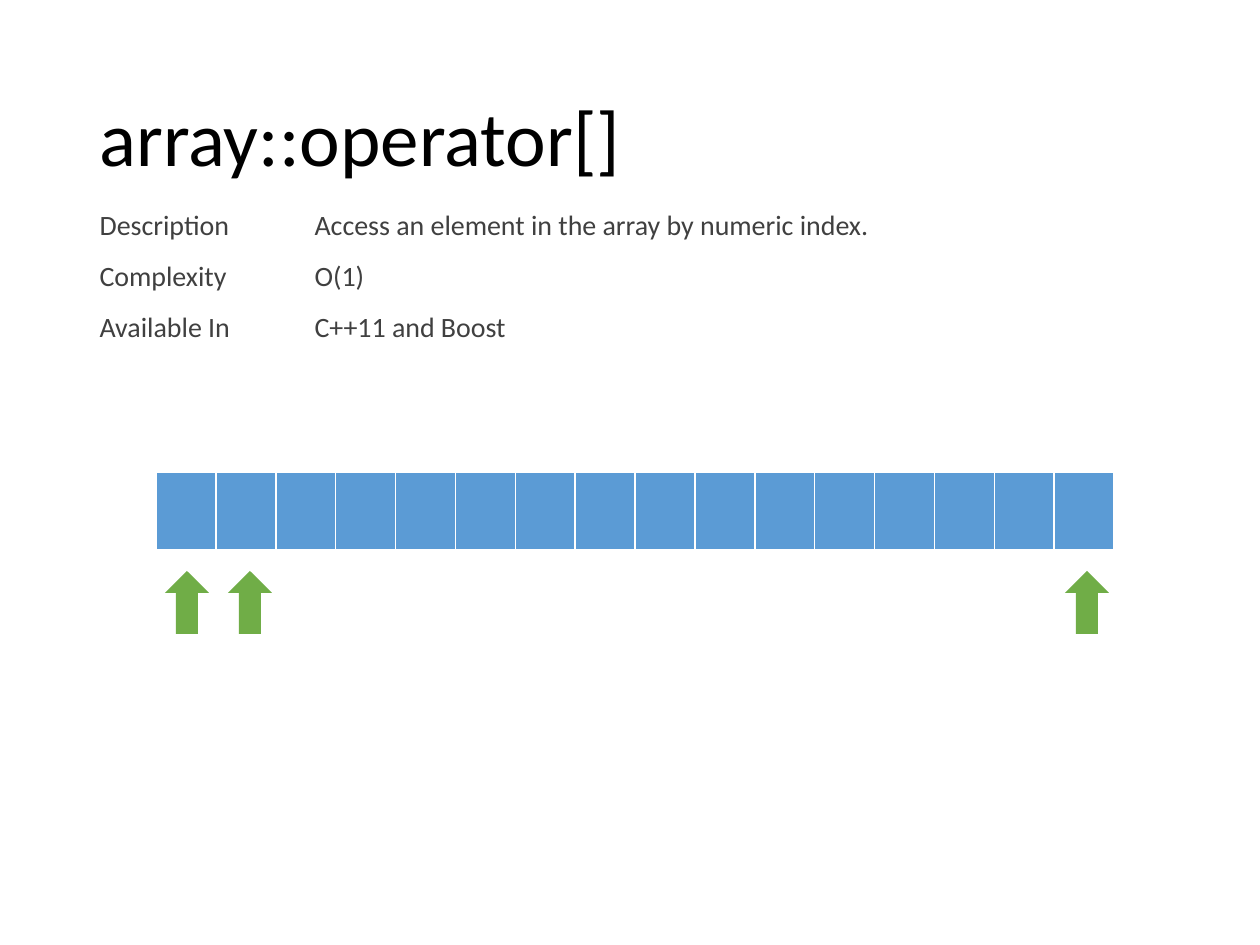
from dataclasses import dataclass

from lxml.etree import SubElement
from pptx import Presentation
from pptx.dml.color import RGBColor
from pptx.enum.shapes import MSO_SHAPE
from pptx.enum.text import MSO_ANCHOR
from pptx.oxml.ns import qn
from pptx.util import Emu, Pt


@dataclass(frozen=True)
class Theme:
    font: str = "Calibri"
    title_color: str = "000000"
    text_color: str = "404040"
    cell_color: str = "5B9BD5"
    arrow_color: str = "70AD47"
    border_color: str = "FFFFFF"
    title_size: int = 44
    text_size: int = 16


theme = Theme()


def px(length):
    return Emu(round(length * 914400 / 126))


def add_span(paragraph, text, size, color):
    span = paragraph.add_run()
    span.text = text
    span.font.name = theme.font
    span.font.size = Pt(size)
    span.font.color.rgb = RGBColor.from_string(color)


deck = Presentation()
deck.slide_width = px(1260)
deck.slide_height = px(945)
page = deck.slides.add_slide(deck.slide_layouts[6])

title_box = page.shapes.add_textbox(px(87), px(50), px(1086), px(183))
title_box.text_frame.word_wrap = True
title_box.text_frame.vertical_anchor = MSO_ANCHOR.MIDDLE
title = title_box.text_frame.paragraphs[0]
title.line_spacing = 0.9
add_span(title, "array::operator[]", theme.title_size, theme.title_color)

facts = [
    ("Description", "Access an element in the array by numeric index."),
    ("Complexity", "O(1)"),
    ("Available In", "C++11 and Boost"),
]
fact_table = page.shapes.add_table(len(facts), 2, px(87), px(203), px(1037), px(153)).table
fact_table.first_row = False
fact_table.horz_banding = False
for column, width in zip(fact_table.columns, (215, 822)):
    column.width = px(width)
for row, fact in zip(fact_table.rows, facts):
    for cell, text in zip(row.cells, fact):
        cell.fill.background()
        add_span(cell.text_frame.paragraphs[0], text, theme.text_size, theme.text_color)

array_table = page.shapes.add_table(1, 16, px(156), px(472), px(958), px(79)).table
array_table.first_row = False
array_table.horz_banding = False
for cell in array_table.rows[0].cells:
    properties = cell._tc.get_or_add_tcPr()
    for side, width in (("lnL", 1), ("lnR", 1), ("lnT", 1), ("lnB", 3)):
        border = SubElement(properties, qn(f"a:{side}"), w=str(Pt(width)))
        border_fill = SubElement(border, qn("a:solidFill"))
        SubElement(border_fill, qn("a:srgbClr"), val=theme.border_color)
    cell.fill.solid()
    cell.fill.fore_color.rgb = RGBColor.from_string(theme.cell_color)

for left in (165, 1065, 228):
    arrow = page.shapes.add_shape(MSO_SHAPE.UP_ARROW, px(left), px(571), px(44), px(63))
    arrow.shadow.inherit = False
    arrow.fill.solid()
    arrow.fill.fore_color.rgb = RGBColor.from_string(theme.arrow_color)
    arrow.line.fill.background()

deck.save("out.pptx")
